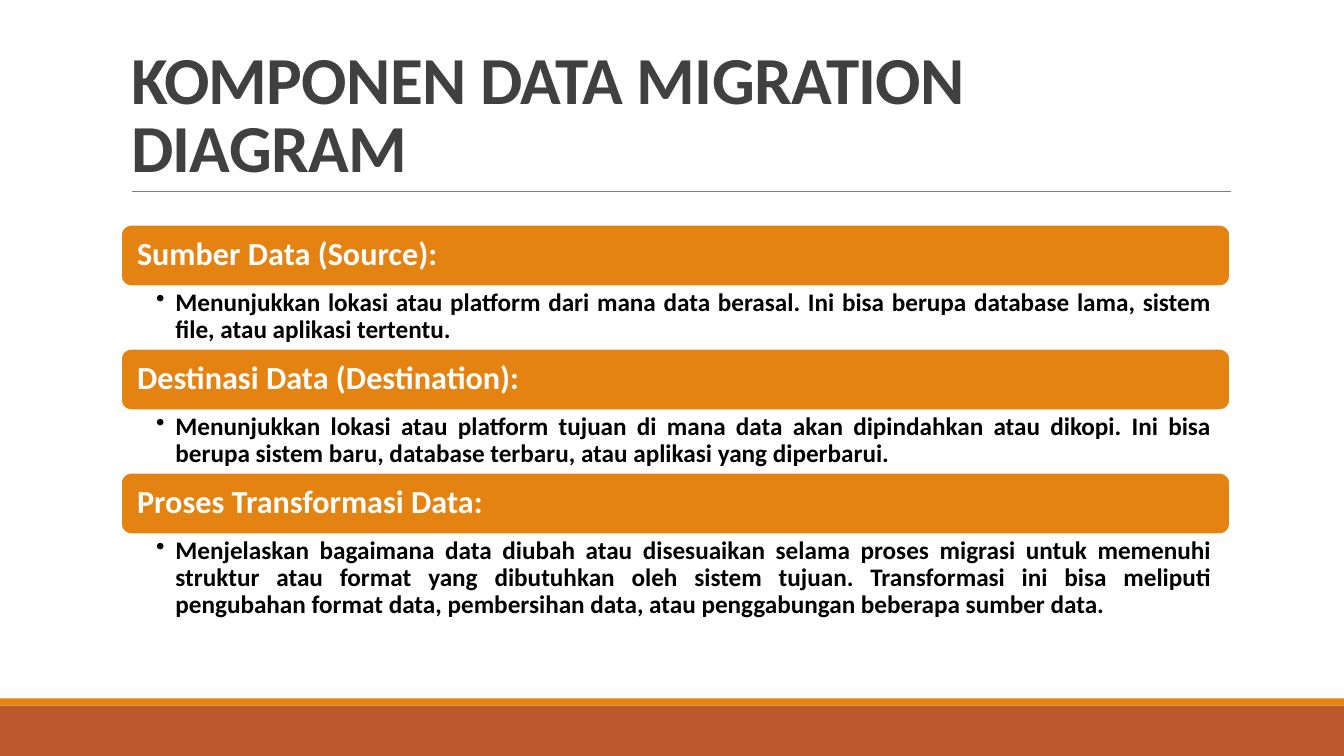
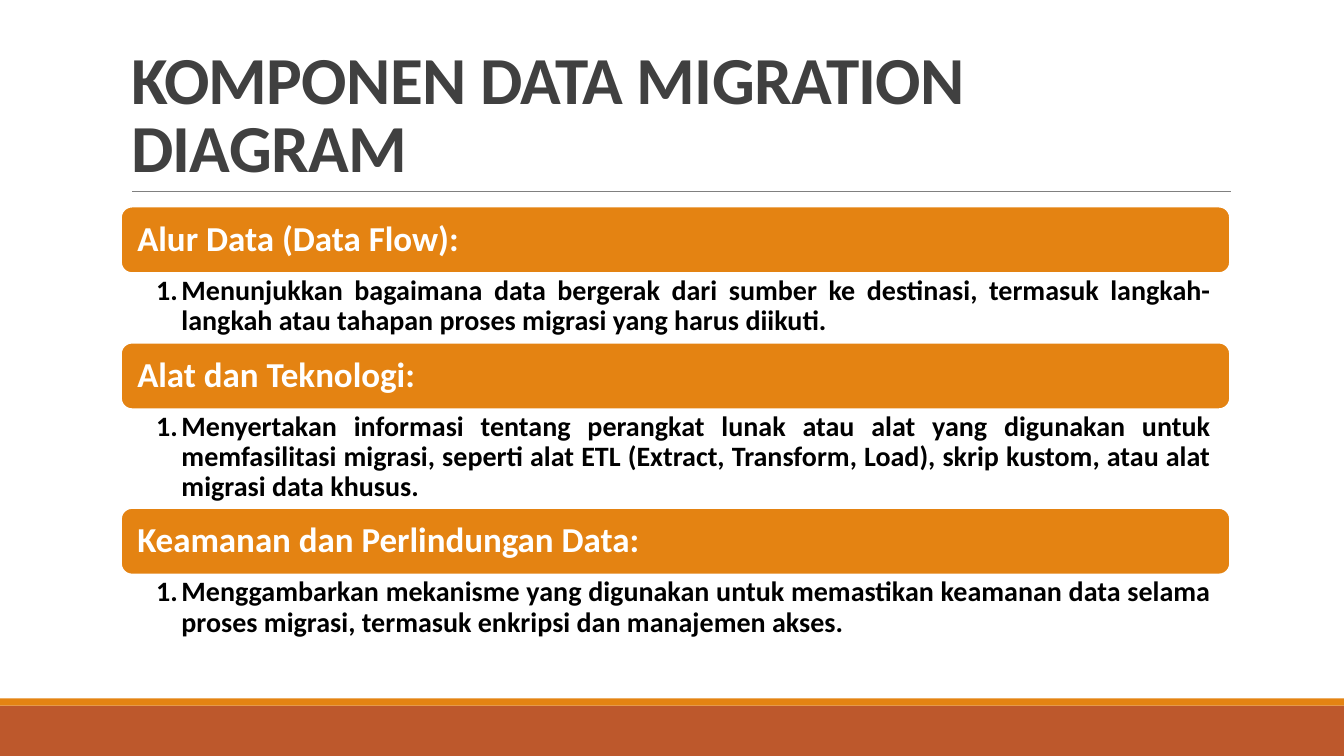
from lxml.etree import SubElement
from pptx import Presentation
from pptx.dml.color import RGBColor
from pptx.enum.shapes import MSO_CONNECTOR, MSO_SHAPE
from pptx.enum.text import MSO_ANCHOR, MSO_AUTO_SIZE, PP_ALIGN
from pptx.oxml.ns import qn
from pptx.util import Inches, Pt

WIDTH, HEIGHT = 13.33, 7.5
LEFT, CONTENT_WIDTH = 1.2, 11
FONT = "Calibri"
ORANGE, RUST, GREY = "E48312", "BD582C", "808080"
DARK, BLACK, WHITE = "404040", "000000", "FFFFFF"
TITLE = "KOMPONEN DATA MIGRATION DIAGRAM"

SECTION_PAGES = [
    {
        "top": 2.23, "bar_height": 0.61, "bar_size": 23, "body_size": 18,
        "bullet": ("a:buChar", {"char": "•"}), "indent": 0.19, "right": 0.18,
        "sections": [
            ("Sumber Data (Source):", 0.62,
             "Menunjukkan lokasi atau platform dari mana data berasal. Ini bisa berupa "
             "database lama, sistem file, atau aplikasi tertentu."),
            ("Destinasi Data (Destination):", 0.62,
             "Menunjukkan lokasi atau platform tujuan di mana data akan dipindahkan atau "
             "dikopi. Ini bisa berupa sistem baru, database terbaru, atau aplikasi yang "
             "diperbarui."),
            ("Proses Transformasi Data:", 0.91,
             "Menjelaskan bagaimana data diubah atau disesuaikan selama proses migrasi "
             "untuk memenuhi struktur atau format yang dibutuhkan oleh sistem tujuan. "
             "Transformasi ini bisa meliputi pengubahan format data, pembersihan data, "
             "atau penggabungan beberapa sumber data."),
        ],
    },
    {
        "top": 2.05, "bar_height": 0.66, "bar_size": 25, "body_size": 20,
        "bullet": ("a:buAutoNum", {"type": "arabicPeriod"}), "indent": 0.25, "right": 0.19,
        "sections": [
            ("Alur Data (Data Flow):", 0.69,
             "Menunjukkan bagaimana data bergerak dari sumber ke destinasi, termasuk "
             "langkah-langkah atau tahapan proses migrasi yang harus diikuti."),
            ("Alat dan Teknologi:", 0.98,
             "Menyertakan informasi tentang perangkat lunak atau alat yang digunakan untuk "
             "memfasilitasi migrasi, seperti alat ETL (Extract, Transform, Load), skrip "
             "kustom, atau alat migrasi data khusus."),
            ("Keamanan dan Perlindungan Data:", 0.69,
             "Menggambarkan mekanisme yang digunakan untuk memastikan keamanan data selama "
             "proses migrasi, termasuk enkripsi dan manajemen akses."),
        ],
    },
]


def color(value):
    return RGBColor.from_string(value)


def set_all(target, values):
    for name, value in values.items():
        setattr(target, name, value)


class SlideBuilder:
    """Holds the deck, its shared style and the page being built."""

    def __init__(self):
        self.deck = Presentation()
        self.deck.slide_width, self.deck.slide_height = Inches(WIDTH), Inches(HEIGHT)
        self.page = None

    def start_page(self, title):
        self.page = self.deck.slides.add_slide(self.deck.slide_layouts[5])
        self.shape(MSO_SHAPE.RECTANGLE, 0, 7, WIDTH, 0.5, RUST)
        self.shape(MSO_SHAPE.RECTANGLE, 0, 6.93, WIDTH, 0.07, ORANGE)
        self.rule(1.31, 12.21, 1.9)
        self.title(title)

    def shape(self, kind, left, top, width, height, fill, outline=None):
        shape = self.page.shapes.add_shape(
            kind, Inches(left), Inches(top), Inches(width), Inches(height))
        shape.shadow.inherit = False
        shape.fill.solid()
        shape.fill.fore_color.rgb = color(fill)
        if outline:
            shape.line.color.rgb = color(outline)
            shape.line.width = Pt(1.25)
        else:
            shape.line.fill.background()
        return shape

    def rule(self, start, end, top):
        line = self.page.shapes.add_connector(
            MSO_CONNECTOR.STRAIGHT, Inches(start), Inches(top), Inches(end), Inches(top))
        line.line.color.rgb = color(GREY)
        line.line.width = Pt(0.5)
        SubElement(line.element.spPr, qn("a:effectLst"))

    def fill_text(self, box, text, size, ink, insets, anchor, align, spacing):
        """Fill a box with one bold paragraph; insets run left, top, right, bottom."""
        frame = box.text_frame
        sides = ("margin_left", "margin_top", "margin_right", "margin_bottom")
        set_all(frame, dict(zip(sides, map(Inches, insets))))
        set_all(frame, {"word_wrap": True, "auto_size": MSO_AUTO_SIZE.NONE,
                        "vertical_anchor": anchor})
        para = frame.paragraphs[0]
        set_all(para, {"alignment": align, "line_spacing": spacing})
        span = para.add_run()
        span.text = text
        set_all(span.font, {"name": FONT, "size": Pt(size), "bold": True})
        span.font.color.rgb = color(ink)
        return para, span

    def title(self, text):
        box = self.page.shapes.title
        set_all(box, {"left": Inches(LEFT), "top": Inches(0.31),
                      "width": Inches(CONTENT_WIDTH), "height": Inches(1.59)})
        _, span = self.fill_text(box, text, 48, DARK, (0.1, 0.05, 0.1, 0.05),
                                 MSO_ANCHOR.BOTTOM, PP_ALIGN.LEFT, 0.85)
        span._r.get_or_add_rPr().set("spc", "-50")

    def bar(self, text, top, height, size):
        bar = self.shape(MSO_SHAPE.ROUNDED_RECTANGLE, LEFT, top, CONTENT_WIDTH, height,
                         ORANGE, WHITE)
        self.fill_text(bar, text, size, WHITE, (0.13, 0.1, 0.13, 0.1),
                       MSO_ANCHOR.MIDDLE, PP_ALIGN.JUSTIFY, 0.9)

    def body(self, text, top, height, size, bullet, indent, right):
        box = self.page.shapes.add_textbox(
            Inches(LEFT), Inches(top), Inches(CONTENT_WIDTH), Inches(height))
        para, _ = self.fill_text(box, text, size, BLACK, (0.35, 0.03, right, 0.03),
                                 MSO_ANCHOR.TOP, PP_ALIGN.JUSTIFY, 0.9)
        para.level = 1
        properties = para._p.get_or_add_pPr()
        properties.set("marL", str(Inches(indent)))
        properties.set("indent", str(-Inches(indent)))
        tag, attributes = bullet
        SubElement(properties, qn(tag), attributes)

    def sections(self, layout):
        """Stack each heading bar and its explanation without gaps."""
        top = layout["top"]
        for heading, body_height, text in layout["sections"]:
            self.bar(heading, top, layout["bar_height"], layout["bar_size"])
            top += layout["bar_height"]
            self.body(text, top, body_height, layout["body_size"],
                      layout["bullet"], layout["indent"], layout["right"])
            top += body_height


def main():
    builder = SlideBuilder()
    for layout in SECTION_PAGES:
        builder.start_page(TITLE)
        builder.sections(layout)
    builder.deck.save("out.pptx")


if __name__ == "__main__":
    main()
